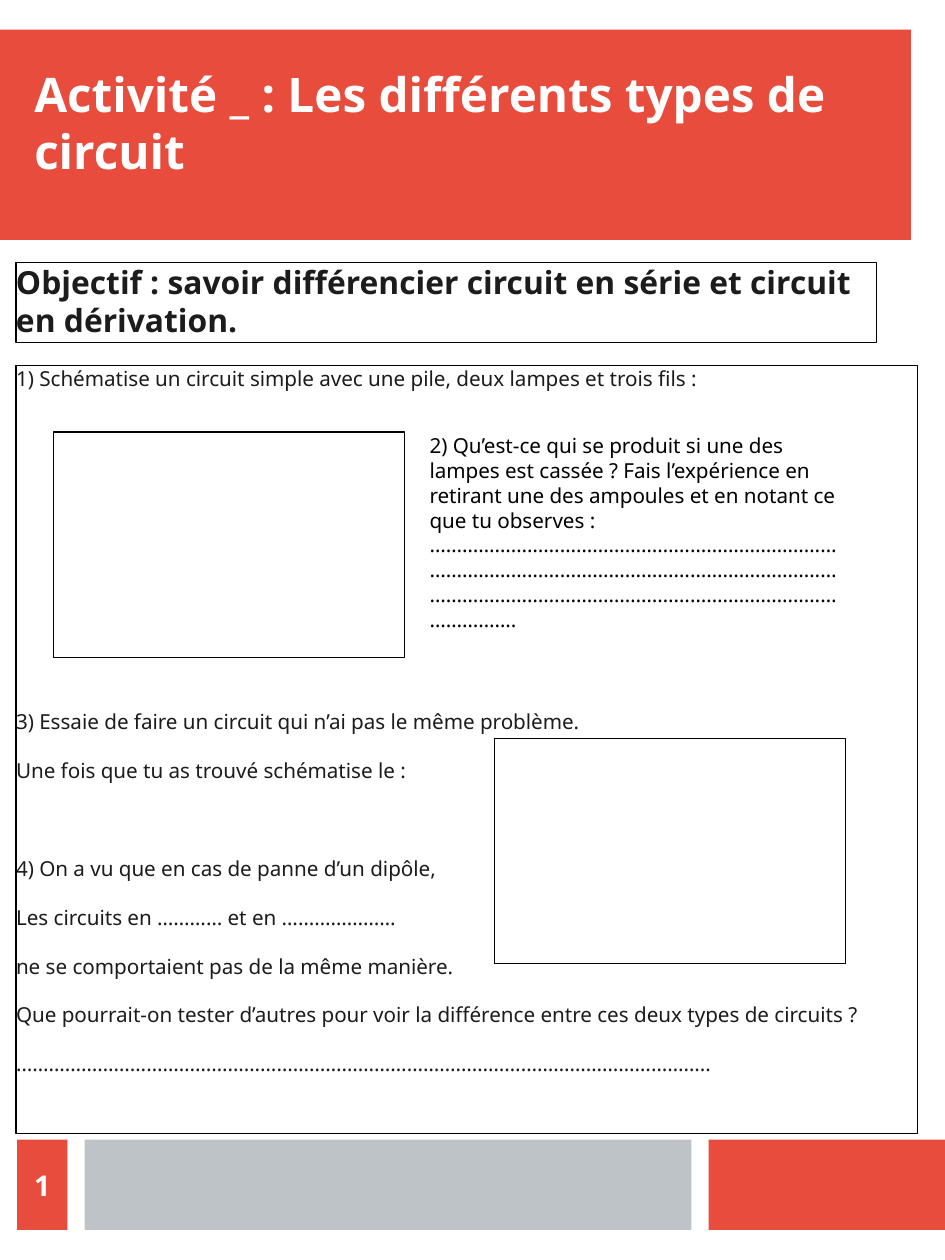
from pptx import Presentation
from pptx.dml.color import RGBColor
from pptx.enum.shapes import MSO_SHAPE
from pptx.enum.text import MSO_ANCHOR, PP_ALIGN
from pptx.util import Cm, Inches, Pt

COLORS = {"red": "E74C3C", "grey": "BDC3C7", "white": "FFFFFF",
          "ink": "1C1C1C", "black": "000000"}
FORMATS = {
    "title": {"size": Pt(30), "bold": True, "color": "white"},
    "objective": {"size": Pt(20), "bold": True, "color": "ink"},
    "question": {"size": Pt(13), "bold": False, "color": "ink"},
    "side question": {"size": Pt(13), "bold": False, "color": "black"},
    "page": {"size": Pt(18), "bold": True, "color": "white"},
}
LINE_PITCH = 30.87  # one question line with its spacing, in points

prs = Presentation()
prs.slide_width, prs.slide_height = Cm(21), Cm(28)  # metric page format
slide = prs.slides.add_slide(prs.slide_layouts[6])


def add_box(place, fill=None, outline=None):
    box = slide.shapes.add_shape(MSO_SHAPE.RECTANGLE, *map(Inches, place))
    box.shadow.inherit = False
    if fill:
        box.fill.solid()
        box.fill.fore_color.rgb = RGBColor.from_string(COLORS[fill])
    else:
        box.fill.background()
    if outline:
        box.line.color.rgb = RGBColor.from_string(COLORS[outline])
        box.line.width = Pt(0)
    else:
        box.line.fill.background()
    return box


def write(box, paragraphs, style, anchor=MSO_ANCHOR.TOP, align=PP_ALIGN.LEFT,
          after=0, margins=(0, 0)):
    """Fill box with (text, lines left free above) pairs."""
    frame = box.text_frame
    frame.word_wrap = True
    frame.vertical_anchor = anchor
    frame.margin_left = frame.margin_right = Inches(margins[0])
    frame.margin_top = frame.margin_bottom = Inches(margins[1])
    for index, (text, free_lines) in enumerate(paragraphs):
        paragraph = frame.add_paragraph() if index else frame.paragraphs[0]
        paragraph.alignment = align
        paragraph.space_after = Pt(after)
        if free_lines:
            paragraph.space_before = Pt(free_lines * LINE_PITCH)
        run = paragraph.add_run()
        run.text = text
        run.font.name = "Noto Sans"
        for name, value in FORMATS[style].items():
            if name == "color":
                run.font.color.rgb = RGBColor.from_string(COLORS[value])
            else:
                setattr(run.font, name, value)


# Banner and footer
add_box((0, 0.26, 7.97, 1.84), fill="red")
FOOTER_TOP, FOOTER_HEIGHT = 9.97, 0.79
for left, width, color in [(6.2, 2.07, "red"), (0.74, 5.31, "grey")]:
    add_box((left, FOOTER_TOP, width, FOOTER_HEIGHT), fill=color)
page_number = add_box((0.15, FOOTER_TOP, 0.44, FOOTER_HEIGHT), fill="red")
write(page_number, [("1", 0)], "page", MSO_ANCHOR.MIDDLE, PP_ALIGN.CENTER)

title = slide.shapes.add_textbox(*map(Inches, (0.3, 0.52, 7.11, 1.05)))
write(title, [("Activité _ : Les différents types de circuit", 0)], "title",
      MSO_ANCHOR.BOTTOM)

# Objective and questions
objective = add_box((0.14, 2.3, 7.53, 0.7), outline="black")
write(objective, [("Objectif : savoir différencier circuit en série et circuit "
                   "en dérivation.", 0)], "objective", after=15.2)

questions = add_box((0.14, 3.2, 7.89, 6.72), outline="black")
write(questions, [
    ("1) Schématise un circuit simple avec une pile, deux lampes et trois fils :", 0),
    ("3) Essaie de faire un circuit qui n’ai pas le même problème.", 6),
    ("Une fois que tu as trouvé schématise le :", 0),
    ("4) On a vu que en cas de panne d’un dipôle,", 1),
    ("Les circuits en ………… et en …………………", 0),
    ("ne se comportaient pas de la même manière.", 0),
    ("Que pourrait-on tester d’autres pour voir la différence entre ces deux "
     "types de circuits ?", 0),
    ("………………………………………………………………………………………………………………..", 0),
], "question", after=15.2)

# Frames for the two circuit diagrams
for left, top in [(0.47, 3.78), (4.33, 6.46)]:
    add_box((left, top, 3.07, 1.97), outline="black")

side_question = slide.shapes.add_textbox(*map(Inches, (3.66, 3.74, 3.86, 2.06)))
write(side_question, [(
    "2) Qu’est-ce qui se produit si une des lampes est cassée ? Fais "
    "l’expérience en retirant une des ampoules et en notant ce que tu observes : "
    "………………………………………………………………………………………………………………………………………………"
    "…………………………………………………………………….", 0)],
    "side question", margins=(0.1, 0.05))

prs.save("out.pptx")
